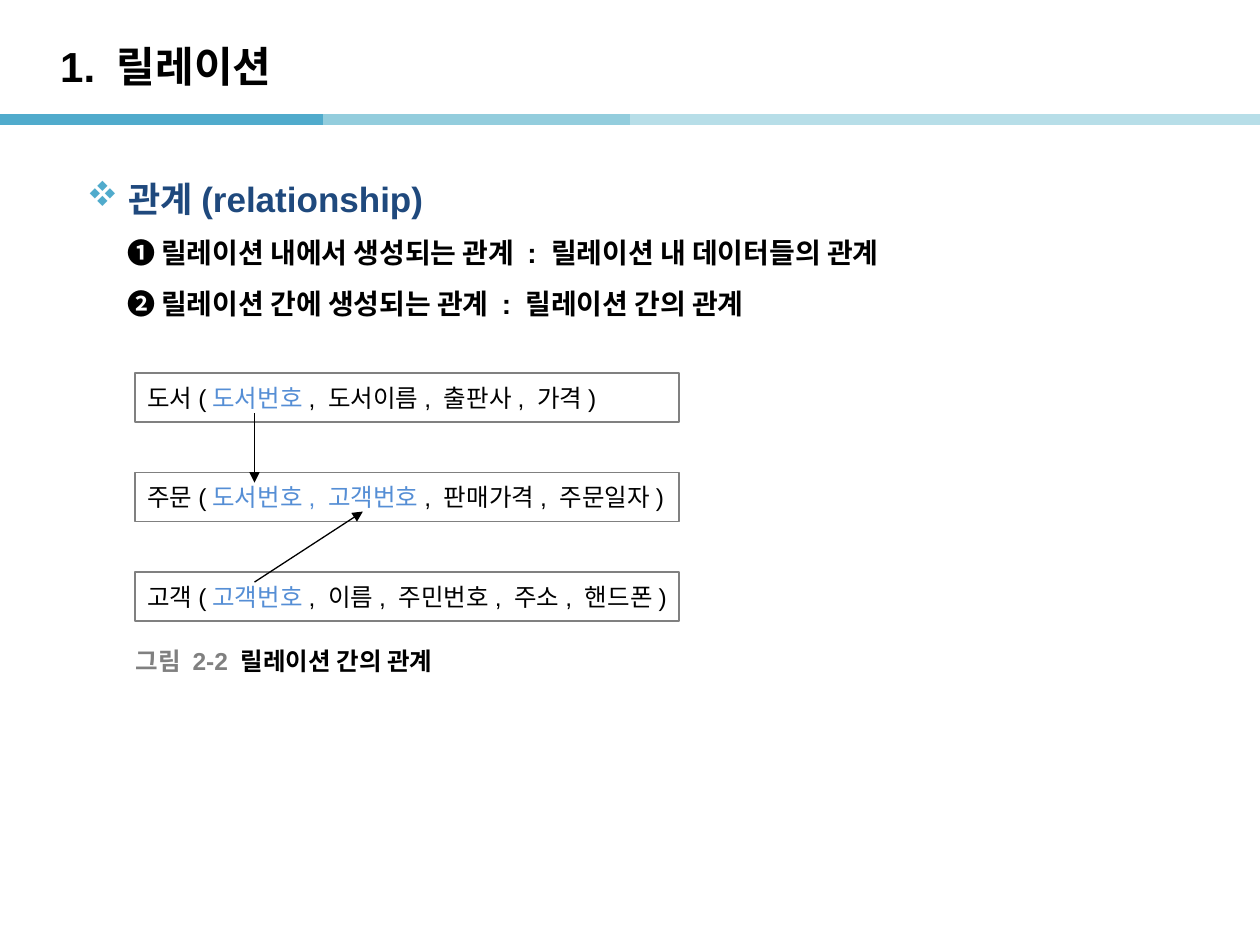
from lxml.etree import SubElement
from pptx import Presentation
from pptx.dml.color import RGBColor
from pptx.enum.shapes import MSO_CONNECTOR, MSO_SHAPE
from pptx.enum.text import MSO_ANCHOR, PP_ALIGN
from pptx.oxml.ns import qn
from pptx.util import Inches, Pt

BLACK = RGBColor(0x00, 0x00, 0x00)
GRAY = RGBColor(0x80, 0x80, 0x80)
NAVY = RGBColor(0x1F, 0x49, 0x7D)
KEY_BLUE = RGBColor(0x55, 0x8E, 0xD5)
TEAL = RGBColor(0x50, 0xAB, 0xCC)
LIGHT_TEAL = RGBColor(0x93, 0xCD, 0xDD)
PALE_TEAL = RGBColor(0xB7, 0xDE, 0xE8)

RELATION_LEFT, RELATION_TOP = 1.07, 2.96
RELATION_WIDTH, RELATION_HEIGHT = 4.32, 0.39
RELATION_PITCH = 0.79
BAND_WIDTH = 2.56


def add_line(start, end, color, width):
    line = slide.shapes.add_connector(
        MSO_CONNECTOR.STRAIGHT, *(Inches(value) for value in (*start, *end)))
    line.line.color.rgb = color
    line.line.width = Pt(width)
    SubElement(line._element.spPr, qn("a:effectLst"))
    return line


def write(paragraph, pieces, size, bold=False):
    """Add (text, colour) pieces as runs that share one font."""
    paragraph.font.name = "Arial"
    paragraph.font.size = Pt(size)
    paragraph.font.bold = bold
    paragraph.alignment = PP_ALIGN.LEFT
    for text, color in pieces:
        run = paragraph.add_run()
        run.text = text
        run.font.color.rgb = color


presentation = Presentation()
presentation.slide_width = Inches(10)
presentation.slide_height = Inches(7.5)
slide = presentation.slides.add_slide(presentation.slide_layouts[6])

# Header band
for left, color in ((0, TEAL), (BAND_WIDTH, LIGHT_TEAL),
                    (5, PALE_TEAL), (10 - BAND_WIDTH, PALE_TEAL)):
    add_line((left, 0.95), (left + BAND_WIDTH, 0.95), color, 6)

# Title
title = slide.shapes.add_textbox(Inches(0.38), Inches(0.22), Inches(8.27), Inches(0.6))
title.text_frame.word_wrap = True
title.text_frame.vertical_anchor = MSO_ANCHOR.MIDDLE
write(title.text_frame.paragraphs[0], [("1. 릴레이션", BLACK)], 24, bold=True)

# Heading and numbered points
body = slide.shapes.add_textbox(Inches(0.59), Inches(1.19), Inches(8.82), Inches(5.98))
body.text_frame.word_wrap = True
heading = body.text_frame.paragraphs[0]
properties = heading._p.get_or_add_pPr()
properties.set("marL", str(Inches(0.33)))
properties.set("indent", str(-Inches(0.33)))
bullet_color = SubElement(properties, qn("a:buClr"))
SubElement(bullet_color, qn("a:srgbClr"), val=str(TEAL))
# In Wingdings the letter v is the ❖ bullet
SubElement(properties, qn("a:buFont"), typeface="Wingdings", charset="2")
SubElement(properties, qn("a:buChar"), char="v")
heading.line_spacing = 1.5
write(heading, [("관계(relationship)", NAVY)], 20, bold=True)

for point in ("❶ 릴레이션 내에서 생성되는 관계 : 릴레이션 내 데이터들의 관계",
              "❷ 릴레이션 간에 생성되는 관계 : 릴레이션 간의 관계"):
    paragraph = body.text_frame.add_paragraph()
    paragraph._p.get_or_add_pPr().set("marL", str(Inches(0.32)))
    paragraph.line_spacing = 1.5
    write(paragraph, [(point, BLACK)], 16, bold=True)

# Relation schemas: name, key columns, other columns
relations = (
    ("도서(", "도서번호", ", 도서이름, 출판사, 가격)"),
    ("주문(", "도서번호, 고객번호", ", 판매가격, 주문일자)"),
    ("고객(", "고객번호", ", 이름, 주민번호, 주소, 핸드폰)"),
)
for row, texts in enumerate(relations):
    relation = slide.shapes.add_shape(
        MSO_SHAPE.RECTANGLE, Inches(RELATION_LEFT),
        Inches(RELATION_TOP + row * RELATION_PITCH),
        Inches(RELATION_WIDTH), Inches(RELATION_HEIGHT))
    relation.shadow.inherit = False
    relation.fill.background()
    relation.line.color.rgb = GRAY
    relation.line.width = Pt(1)
    relation.text_frame.word_wrap = True
    relation.text_frame.vertical_anchor = MSO_ANCHOR.MIDDLE
    write(relation.text_frame.paragraphs[0],
          zip(texts, (BLACK, KEY_BLUE, BLACK)), 14)

# Arrows from each key to the column that refers to it
for start, end in (((2.02, 3.28), (2.02, 3.83)), ((2.02, 4.62), (2.88, 4.06))):
    arrow = add_line(start, end, BLACK, 0.75)
    SubElement(arrow.line._get_or_add_ln(), qn("a:tailEnd"), type="triangle")

# Caption
caption = slide.shapes.add_textbox(Inches(0.98), Inches(5.09), Inches(2.75), Inches(0.31))
caption.text_frame.word_wrap = True
caption.text_frame.vertical_anchor = MSO_ANCHOR.MIDDLE
write(caption.text_frame.paragraphs[0],
      [("그림 2-2 ", GRAY), ("릴레이션 간의 관계", BLACK)], 14, bold=True)

presentation.save("out.pptx")
